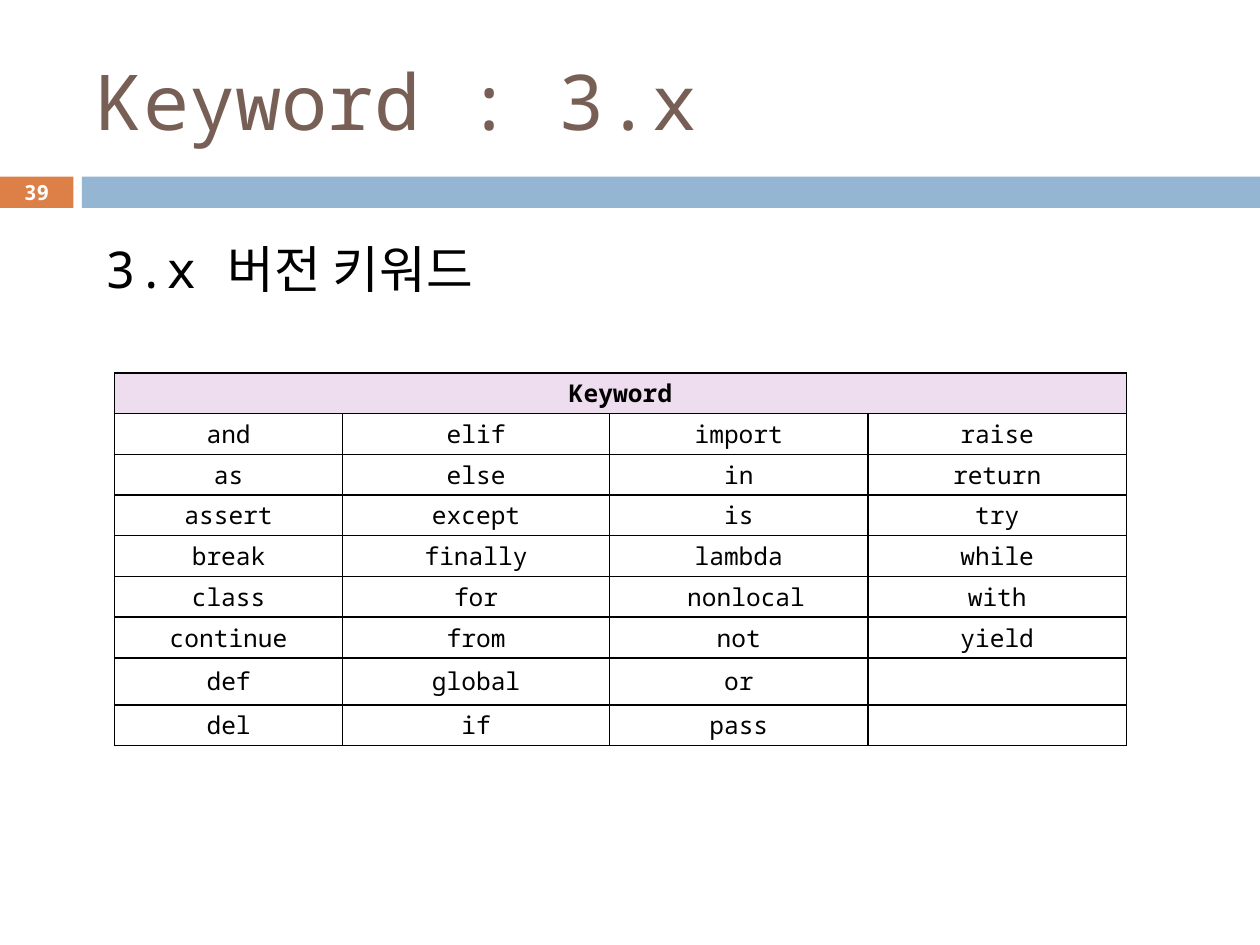
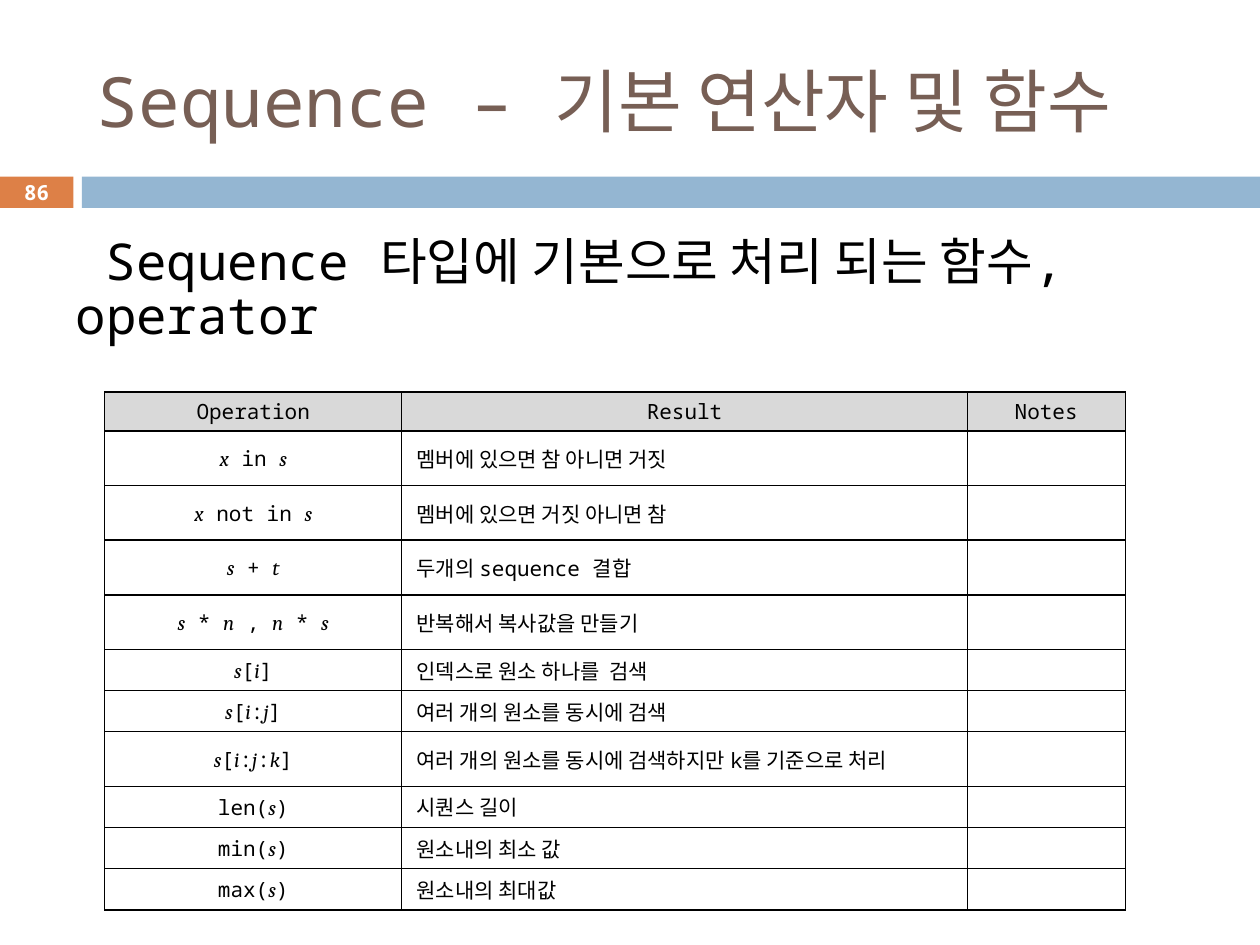
from dataclasses import dataclass
from lxml.etree import SubElement
from pptx import Presentation
from pptx.dml.color import RGBColor
from pptx.enum.shapes import MSO_SHAPE
from pptx.enum.text import MSO_ANCHOR, MSO_AUTO_SIZE, PP_ALIGN
from pptx.oxml.ns import qn
from pptx.util import Cm, Pt


@dataclass(frozen=True)
class Theme:
    mono: str = "Noto Sans Mono"
    serif: str = "Cambria"
    black: str = "000000"
    white: str = "FFFFFF"
    brown: str = "775F55"
    orange: str = "DD8047"
    blue: str = "94B6D2"
    pink: str = "EEDDEE"
    grey: str = "D9D9D9"
    body: float = 29
    page: float = 11.9


class Deck:
    def __init__(self, theme):
        self.theme = theme
        self.prs = Presentation()
        self.prs.slide_width, self.prs.slide_height = Cm(25.4), Cm(19.05)
        self.slide = None

    def style(self, run, size, color, bold=False, slant=False):
        font = run.font
        font.name = self.theme.serif if slant else self.theme.mono
        font.size, font.bold, font.italic = Pt(size), bold, slant
        font.color.rgb = RGBColor.from_string(color)

    def place(self, shape, left, top, width, height):
        shape.left, shape.top = Cm(left), Cm(top)
        shape.width, shape.height = Cm(width), Cm(height)

    def band(self, left, width, color, text=""):
        box = self.slide.shapes.add_shape(
            MSO_SHAPE.RECTANGLE, Cm(left), Cm(3.56), Cm(width), Cm(0.63))
        box.shadow.inherit = False
        box.fill.solid()
        box.fill.fore_color.rgb = RGBColor.from_string(color)
        box.line.fill.background()
        if text:
            frame = box.text_frame
            frame.margin_left = frame.margin_right = 0
            frame.margin_top = frame.margin_bottom = 0
            frame.vertical_anchor = MSO_ANCHOR.MIDDLE
            frame.text = text
            frame.paragraphs[0].alignment = PP_ALIGN.CENTER
            self.style(frame.paragraphs[0].runs[0], self.theme.page,
                       self.theme.white, bold=True)

    def page(self, number, title, size):
        """Start a slide with its title, bands and page number."""
        self.slide = self.prs.slides.add_slide(self.prs.slide_layouts[1])
        self.band(0, 1.48, self.theme.orange, str(number))
        self.band(1.65, 23.75, self.theme.blue)
        head = self.slide.shapes.title
        self.place(head, 1.7, 0.64, 22.66, 2.74)
        frame = head.text_frame
        frame.auto_size = MSO_AUTO_SIZE.NONE
        frame.vertical_anchor = MSO_ANCHOR.MIDDLE
        frame.text = title
        frame.paragraphs[0].alignment = PP_ALIGN.LEFT
        self.style(frame.paragraphs[0].runs[0], size, self.theme.brown)

    def lead(self, text, height, pitch=1.0):
        """Fill the body with one unbulleted, first-line indented sentence."""
        body = self.slide.placeholders[1]
        self.place(body, 1.27, 4.67, 22.86, height)
        frame = body.text_frame
        frame.auto_size = MSO_AUTO_SIZE.NONE
        frame.text = text
        para = frame.paragraphs[0]
        props = para._p.get_or_add_pPr()
        props.set("marL", "0")
        props.set("indent", str(Cm(0.61)))
        SubElement(props, qn("a:buNone"))
        para.space_before = Pt(0)
        para.line_spacing = pitch
        self.style(para.runs[0], self.theme.body, self.theme.black)

    def edge(self, cell, upright):
        props = cell._tc.get_or_add_tcPr()
        for side in "LRTB":
            width = upright if side in "LR" else 1
            line = SubElement(props, qn(f"a:ln{side}"), w=str(Pt(width)))
            fill = SubElement(line, qn("a:solidFill"))
            SubElement(fill, qn("a:srgbClr"), val=self.theme.black)

    def label(self, cell, text, size, bold=False):
        """Put text in a cell; parts between underscores are slanted."""
        para = cell.text_frame.paragraphs[0]
        if not text:
            para._p.get_or_add_endParaRPr().set("sz", str(size * 100))
        for index, part in enumerate(text.split("_")):
            if part:
                run = para.add_run()
                run.text = part
                self.style(run, size, self.theme.black, bold, index % 2 == 1)
        return para

    def table(self, left, top, cols, highs, rows, size, color, pad,
              bold=False, upright=1, lefts=()):
        grid = self.slide.shapes.add_table(
            len(rows), len(cols), Cm(left), Cm(top),
            Cm(sum(cols)), Cm(sum(highs))).table
        grid.first_row = grid.horz_banding = False
        for col, width in zip(grid.columns, cols):
            col.width = Cm(width)
        for r, (row, high) in enumerate(zip(rows, highs)):
            grid.rows[r].height = Cm(high)
            for c, text in enumerate(row):
                cell = grid.cell(r, c)
                flush = r > 0 and c in lefts
                cell.margin_left = Cm(0.3 if flush else pad)
                cell.margin_right = Cm(pad)
                cell.margin_top = cell.margin_bottom = Cm(pad / 2)
                cell.vertical_anchor = MSO_ANCHOR.MIDDLE
                self.edge(cell, upright)
                if r:
                    cell.fill.background()
                else:
                    cell.fill.solid()
                    cell.fill.fore_color.rgb = RGBColor.from_string(color)
                para = self.label(cell, text, size, bold and r == 0)
                para.alignment = PP_ALIGN.LEFT if flush else PP_ALIGN.CENTER
        return grid


WORDS = [
    ("Keyword", "", "", ""),
    ("and", "elif", "import", "raise"),
    ("as", "else", "in", "return"),
    ("assert", "except", "is", "try"),
    ("break", "finally", "lambda", "while"),
    ("class", "for", " nonlocal", "with"),
    ("continue", "from", "not", "yield"),
    ("def", "global", "or", ""),
    ("del", "if", "pass", ""),
]

TALL, LOW = 1.1, 0.83
# Operation, result and row height
CALLS = [
    ("_x_ in _s_", "멤버에 있으면 참 아니면 거짓", TALL),
    ("_x_ not in _s_", "멤버에 있으면 거짓 아니면 참", TALL),
    ("_s_ + _t_", "두개의 sequence 결합", TALL),
    ("_s_ * _n_ , _n_ * _s_", "반복해서 복사값을 만들기", TALL),
    ("_s_[_i_]", "인덱스로 원소 하나를  검색", LOW),
    ("_s_[_i_:_j_]", "여러 개의 원소를 동시에 검색", LOW),
    ("_s_[_i_:_j_:_k_]", "여러 개의 원소를 동시에 검색하지만 k를 기준으로 처리", TALL),
    ("len(_s_)", "시퀀스 길이", LOW),
    ("min(_s_)", "원소내의 최소 값", LOW),
    ("max(_s_)", "원소내의 최대값", LOW),
]


def main():
    theme = Theme()
    deck = Deck(theme)

    # Keywords
    deck.page(39, "Keyword : 3.x", 44)
    deck.lead("3.x 버전 키워드", 2.39)
    grid = deck.table(2.31, 7.52, [4.6, 5.38, 5.21, 5.21],
                      [0.82] * 7 + [0.95, 0.82], WORDS, 14, theme.pink,
                      pad=0.1, bold=True)
    grid.cell(0, 0).merge(grid.cell(0, 3))

    # Sequence operations
    deck.page(86, "Sequence – 기본 연산자 및 함수", 39.6)
    deck.lead("Sequence 타입에 기본으로 처리 되는 함수, operator", 3.3, 0.88)
    rows = [("Operation", "Result", "Notes")]
    rows += [(call, result, "") for call, result, _ in CALLS]
    deck.table(2.11, 7.9, [5.99, 11.4, 3.18],
               [0.79] + [high for _, _, high in CALLS], rows, 12, theme.grey,
               pad=0.2, upright=0.6, lefts=(1,))

    deck.prs.save("out.pptx")


if __name__ == "__main__":
    main()
